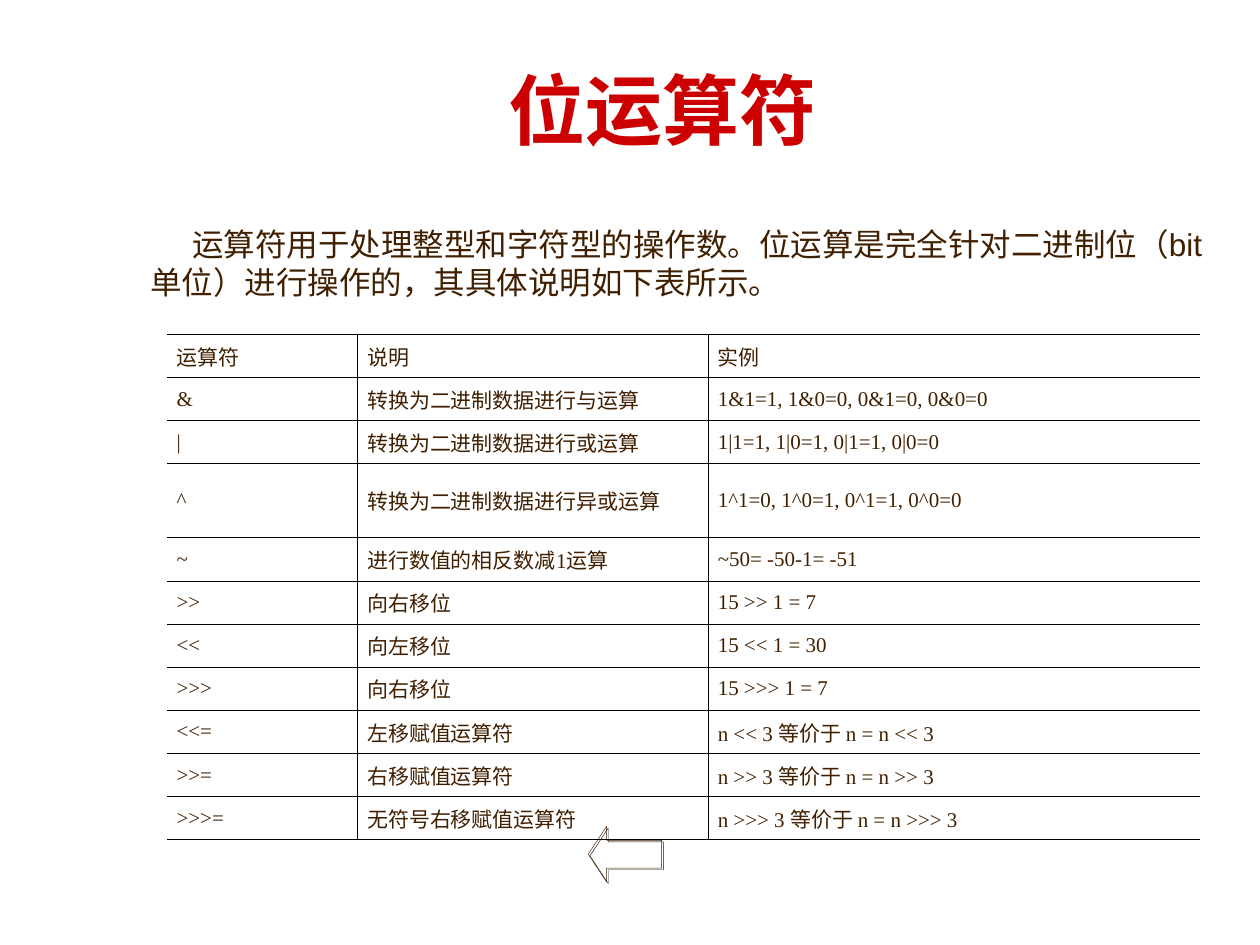
from lxml.etree import SubElement
from pptx import Presentation
from pptx.dml.color import RGBColor
from pptx.enum.shapes import MSO_SHAPE
from pptx.enum.text import MSO_ANCHOR, MSO_AUTO_SIZE, PP_ALIGN
from pptx.oxml import parse_xml
from pptx.oxml.ns import nsdecls, qn
from pptx.util import Cm, Pt

BROWN = RGBColor(0x40, 0x20, 0x00)
RED = RGBColor(0xCC, 0x00, 0x00)
BLACK = RGBColor(0x00, 0x00, 0x00)
SHADE = RGBColor(0x26, 0x13, 0x00)
SERIF = "Times New Roman"

ROWS = [
    ("运算符", "说明", "实例"),
    ("&", "转换为二进制数据进行与运算", "1&1=1, 1&0=0, 0&1=0, 0&0=0"),
    ("|", "转换为二进制数据进行或运算", "1|1=1, 1|0=1, 0|1=1, 0|0=0"),
    ("^", "转换为二进制数据进行异或运算", "1^1=0, 1^0=1, 0^1=1, 0^0=0"),
    ("~", "进行数值的相反数减1运算", "~50= -50-1= -51"),
    (">>", "向右移位", "15 >> 1 = 7"),
    ("<<", "向左移位", "15 << 1 = 30"),
    (">>>", "向右移位", "15 >>> 1 = 7"),
    ("<<=", "左移赋值运算符", "n << 3 等价于 n = n << 3"),
    (">>=", "右移赋值运算符", "n >> 3 等价于 n = n >> 3"),
    (">>>=", "无符号右移赋值运算符", "n >>> 3 等价于 n = n >>> 3"),
]
WIDTHS = [3.84, 7.07, 9.91]
TALL = 3


def add_run(para, text, size, face, color, bold=False):
    run = para.add_run()
    run.text = text
    font = run.font
    font.size, font.name, font.bold = Pt(size), face, bold
    font.color.rgb = color


def add_edge(cell, side, shown):
    line = SubElement(cell._tc.get_or_add_tcPr(), qn(f"a:ln{side}"), w=str(Pt(0.45)))
    if shown:
        fill = SubElement(line, qn("a:solidFill"))
        SubElement(fill, qn("a:srgbClr"), val=str(BLACK))
    else:
        SubElement(line, qn("a:noFill"))


deck = Presentation()
deck.slide_width, deck.slide_height = Cm(25.4), Cm(19.05)
slide = deck.slides.add_slide(deck.slide_layouts[5])
shapes = slide.shapes

# Title
title = shapes.title
title.left, title.top, title.width, title.height = Cm(2.53), Cm(0.79), Cm(21.64), Cm(2.82)
frame = title.text_frame
frame.auto_size = MSO_AUTO_SIZE.NONE
frame.vertical_anchor = MSO_ANCHOR.MIDDLE
para = frame.paragraphs[0]
para.alignment = PP_ALIGN.CENTER
add_run(para, "位运算符", 44, SERIF, RED, True)

# Introduction with a first-line indent
intro = shapes.add_textbox(Cm(2.78), Cm(4.41), Cm(22.15), Cm(1.78))
frame = intro.text_frame
frame.word_wrap = True
frame.auto_size = MSO_AUTO_SIZE.SHAPE_TO_FIT_TEXT
para = frame.paragraphs[0]
para.space_before = Pt(11.2)
para._p.get_or_add_pPr().set("indent", str(Cm(0.85)))
add_run(para, "运算符用于处理整型和字符型的操作数。位运算是完全针对二进制位（bit单位）"
        "进行操作的，其具体说明如下表所示。", 18, "Arial", BROWN)

# Back arrow
arrow = shapes.add_shape(MSO_SHAPE.LEFT_ARROW, Cm(11.86), Cm(16.66), Cm(1.48), Cm(1.12))
arrow.adjustments[0], arrow.adjustments[1] = 0.5, 0.33
arrow.fill.background()
arrow.line.color.rgb = BROWN
arrow.line.width = Pt(0.25)
arrow._element.spPr.append(parse_xml(
    f'<a:effectLst {nsdecls("a")}><a:outerShdw dist="{Pt(1.4)}" dir="2700000" '
    f'algn="ctr" rotWithShape="0"><a:srgbClr val="{SHADE}"/></a:outerShdw></a:effectLst>'))

# Operator table: ruled inside, above and below, open at the sides
table = shapes.add_table(len(ROWS), len(WIDTHS), Cm(3.37), Cm(6.74),
                         Cm(sum(WIDTHS)), Cm(10.19)).table
table.first_row = table.horz_banding = False
for col, width in zip(table.columns, WIDTHS):
    col.width = Cm(width)
last = len(WIDTHS) - 1
for i, words in enumerate(ROWS):
    table.rows[i].height = Cm(1.49 if i == TALL else 0.87)
    for j, text in enumerate(words):
        cell = table.cell(i, j)
        for side, shown in (("L", j > 0), ("R", j < last), ("T", True), ("B", True)):
            add_edge(cell, side, shown)
        cell.fill.background()
        cell.vertical_anchor = MSO_ANCHOR.MIDDLE
        cell.margin_left = cell.margin_right = Cm(0.19)
        para = cell.text_frame.paragraphs[0]
        para.alignment = PP_ALIGN.JUSTIFY
        para.space_before = para.space_after = Pt(1.2)
        add_run(para, text, 12, SERIF, BROWN)

deck.save("out.pptx")
